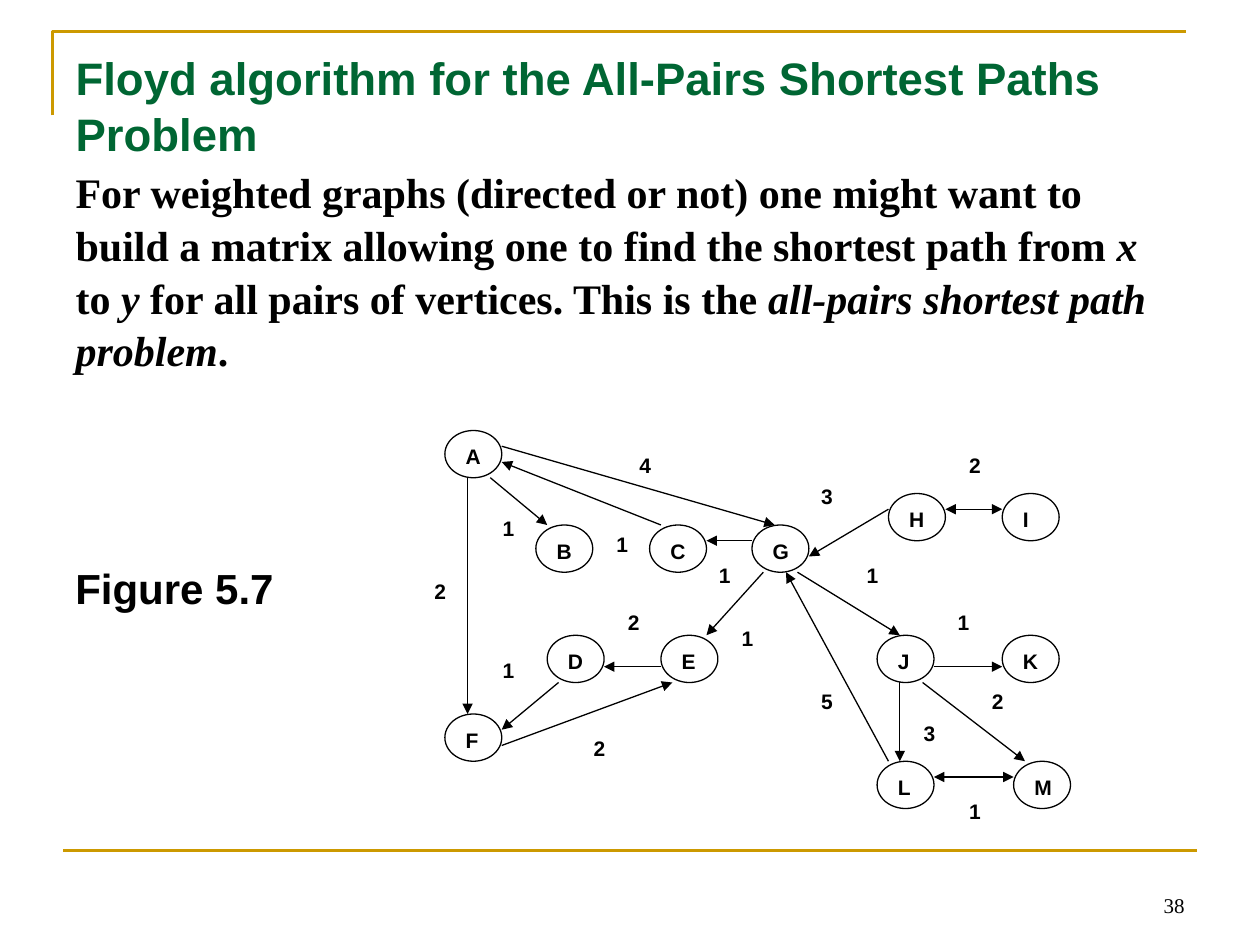
from typing import NamedTuple

from lxml.etree import SubElement
from pptx import Presentation
from pptx.dml.color import RGBColor
from pptx.enum.shapes import MSO_CONNECTOR, MSO_SHAPE
from pptx.enum.text import MSO_ANCHOR, MSO_AUTO_SIZE, PP_ALIGN
from pptx.oxml.ns import qn
from pptx.util import Pt

GOLD, GREEN, BLACK, WHITE = "CC9900", "006633", "000000", "FFFFFF"
SANS, SERIF = "Arial", "Times New Roman"

# The graph sits on a grid: cells of 6.5 by 9 points.
LEFT, TOP = 241.2, 246
STEP_X, STEP_Y = 6.5, 9


class Node(NamedTuple):
    name: str
    col: int
    row: int


class Edge(NamedTuple):
    col: int
    row: int
    to_col: int
    to_row: int
    both: bool = False


class Weight(NamedTuple):
    text: str
    col: int
    row: int
    wide: int = 3
    high: int = 3


NODES = [
    Node("A", 2, 0), Node("B", 10, 6), Node("G", 29, 6), Node("C", 20, 6),
    Node("F", 2, 18), Node("D", 11, 13), Node("E", 21, 13), Node("L", 40, 21),
    Node("M", 52, 21), Node("K", 51, 13), Node("J", 40, 13), Node("I", 51, 4),
    Node("H", 41, 4),
]

EDGES = [
    Edge(4, 3, 4, 18), Edge(6, 3, 11, 6), Edge(21, 6, 7, 2),
    Edge(7, 1, 31, 6), Edge(12, 16, 7, 19), Edge(21, 15, 16, 15),
    Edge(7, 20, 22, 16), Edge(30, 9, 25, 13), Edge(46, 5, 51, 5, True),
    Edge(45, 15, 51, 15), Edge(42, 16, 42, 21), Edge(45, 22, 52, 22, True),
    Edge(44, 16, 53, 21), Edge(29, 7, 25, 7), Edge(41, 5, 34, 8),
    Edge(33, 9, 42, 13), Edge(41, 21, 32, 9),
]

WEIGHTS = [
    Weight("2", 47, 1), Weight("3", 34, 3), Weight("1", 25, 8, 3, 2),
    Weight("1", 46, 11, 4), Weight("1", 27, 12, 4, 2),
    Weight("4", 18, 1, 4, 2), Weight("2", 0, 9), Weight("5", 34, 16),
    Weight("3", 43, 18, 3, 2), Weight("2", 49, 16, 3, 2),
    Weight("1", 47, 23), Weight("2", 17, 11), Weight("2", 14, 19, 4),
    Weight("1", 6, 14), Weight("1", 38, 8), Weight("1", 16, 6),
    Weight("1", 6, 5, 3, 2),
]


def paint(target, color: str) -> None:
    """Give a fill a solid colour."""
    target.solid()
    target.fore_color.rgb = RGBColor.from_string(color)


def put(para, text: str, size: float, face: str, color: str = BLACK,
        bold: bool = True, slant: bool = False) -> None:
    """Add one run."""
    run = para.add_run()
    run.text = text
    font = run.font
    font.size, font.name = Pt(size), face
    font.bold, font.italic = bold, slant
    paint(font.fill, color)


def place(shape, x: float, y: float, wide: float, high: float) -> None:
    shape.left, shape.top = Pt(x), Pt(y)
    shape.width, shape.height = Pt(wide), Pt(high)


def setup(shape, anchor=MSO_ANCHOR.TOP, align=PP_ALIGN.LEFT):
    """Set up a text frame and return its first paragraph."""
    frame = shape.text_frame
    frame.word_wrap = True
    frame.auto_size = MSO_AUTO_SIZE.NONE
    frame.vertical_anchor = anchor
    frame.margin_left = frame.margin_right = Pt(7.2)
    frame.margin_top = frame.margin_bottom = Pt(3.6)
    para = frame.paragraphs[0]
    para.alignment = align
    para.space_before = Pt(0)
    return para


def spot(col: float, row: float) -> tuple[float, float]:
    return LEFT + col * STEP_X, TOP + row * STEP_Y


def label(shapes, kind, text: str, col: int, row: int,
          wide: int, high: int):
    """Draw a white shape on the grid with a short text."""
    x, y = spot(col, row)
    shape = shapes.add_shape(kind, Pt(x), Pt(y),
                             Pt(wide * STEP_X), Pt(high * STEP_Y))
    shape.shadow.inherit = False
    paint(shape.fill, WHITE)
    shape.line.fill.background()
    put(setup(shape), text, 12, SANS)
    return shape


def rule(shapes, start: tuple[float, float], end: tuple[float, float],
         color: str, width: float):
    line = shapes.add_connector(MSO_CONNECTOR.STRAIGHT,
                                *(Pt(v) for v in (*start, *end)))
    paint(line.line.fill, color)
    line.line.width = Pt(width)
    SubElement(line._element.spPr, qn("a:effectLst"))
    return line


def arrow(shapes, edge: Edge) -> None:
    line = rule(shapes, spot(edge.col, edge.row),
                spot(edge.to_col, edge.to_row), BLACK, 0.75)
    ln = line.line._get_or_add_ln()
    for tag in ("a:headEnd", "a:tailEnd") if edge.both else ("a:tailEnd",):
        SubElement(ln, qn(tag), type="triangle")


def circle(shapes, node: Node) -> None:
    shape = label(shapes, MSO_SHAPE.OVAL, *node, 5, 3)
    paint(shape.line.fill, BLACK)
    shape.line.width = Pt(0.75)


def border(shapes) -> None:
    """Draw the corner at the top and the rule at the foot."""
    pen = shapes.build_freeform(Pt(30), Pt(66))
    pen.add_line_segments([(Pt(30), Pt(18)), (Pt(678), Pt(18))], close=False)
    corner = pen.convert_to_shape()
    corner.shadow.inherit = False
    corner.fill.background()
    paint(corner.line.fill, GOLD)
    corner.line.width = Pt(1.5)
    rule(shapes, (36, 486), (684, 486), GOLD, 1.5)


def heads(slide) -> None:
    """Fill the title and the body."""
    title = slide.shapes.title
    place(title, 36, 21.6, 648, 31)
    para = setup(title)
    title.text_frame.margin_top = Pt(6)
    para.line_spacing = 1.03
    put(para, "Floyd algorithm for the All-Pairs Shortest Paths Problem",
        26, SANS, GREEN)

    body = slide.placeholders[1]
    place(body, 36, 90, 648, 122.4)
    para = setup(body)
    body.text_frame.margin_right = Pt(14)
    para.line_spacing = 1.05
    props = para._p.get_or_add_pPr()
    props.set("marL", "0")
    props.set("indent", "0")
    SubElement(props, qn("a:buNone"))
    parts = [
        "For weighted graphs (directed or not) one might want to build a "
        "matrix allowing one to find the shortest path from ",
        "x", " to ", "y", " for all pairs of vertices. This is the ",
        "all-pairs shortest path problem", ".",
    ]
    for i, part in enumerate(parts):
        put(para, part, 24, SERIF, slant=i % 2 == 1)


def main() -> None:
    deck = Presentation()
    deck.slide_width, deck.slide_height = Pt(720), Pt(540)
    slide = deck.slides.add_slide(deck.slide_layouts[1])
    shapes = slide.shapes
    heads(slide)
    border(shapes)
    page = shapes.add_textbox(Pt(516), Pt(492), Pt(168), Pt(36))
    put(setup(page, MSO_ANCHOR.BOTTOM, PP_ALIGN.RIGHT), "38", 12, SERIF,
        bold=False)
    graph = shapes.add_group_shape().shapes
    for node in NODES:
        circle(graph, node)
    for edge in EDGES:
        arrow(graph, edge)
    for weight in WEIGHTS:
        label(graph, MSO_SHAPE.RECTANGLE, *weight)
    note = shapes.add_textbox(Pt(36), Pt(318), Pt(174), Pt(36))
    put(setup(note), "Figure 5.7", 24, SANS)
    deck.save("out.pptx")


if __name__ == "__main__":
    main()
